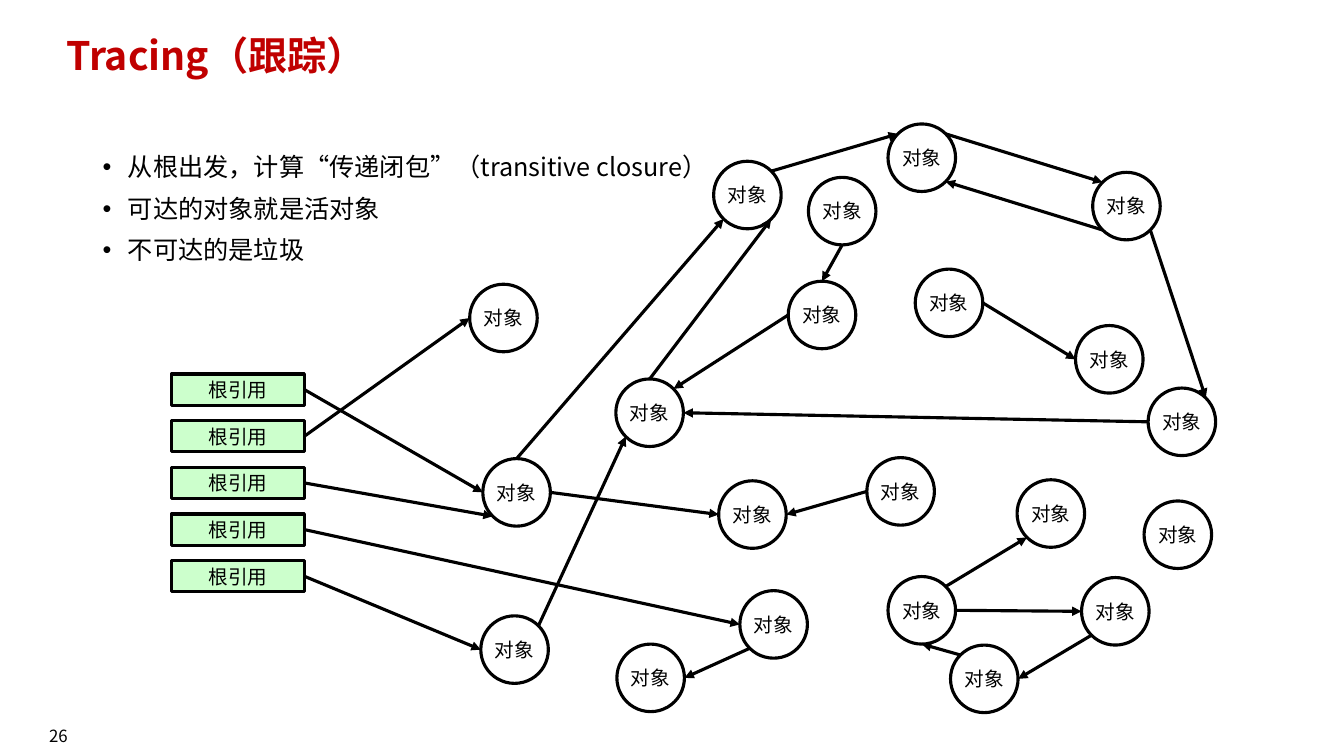
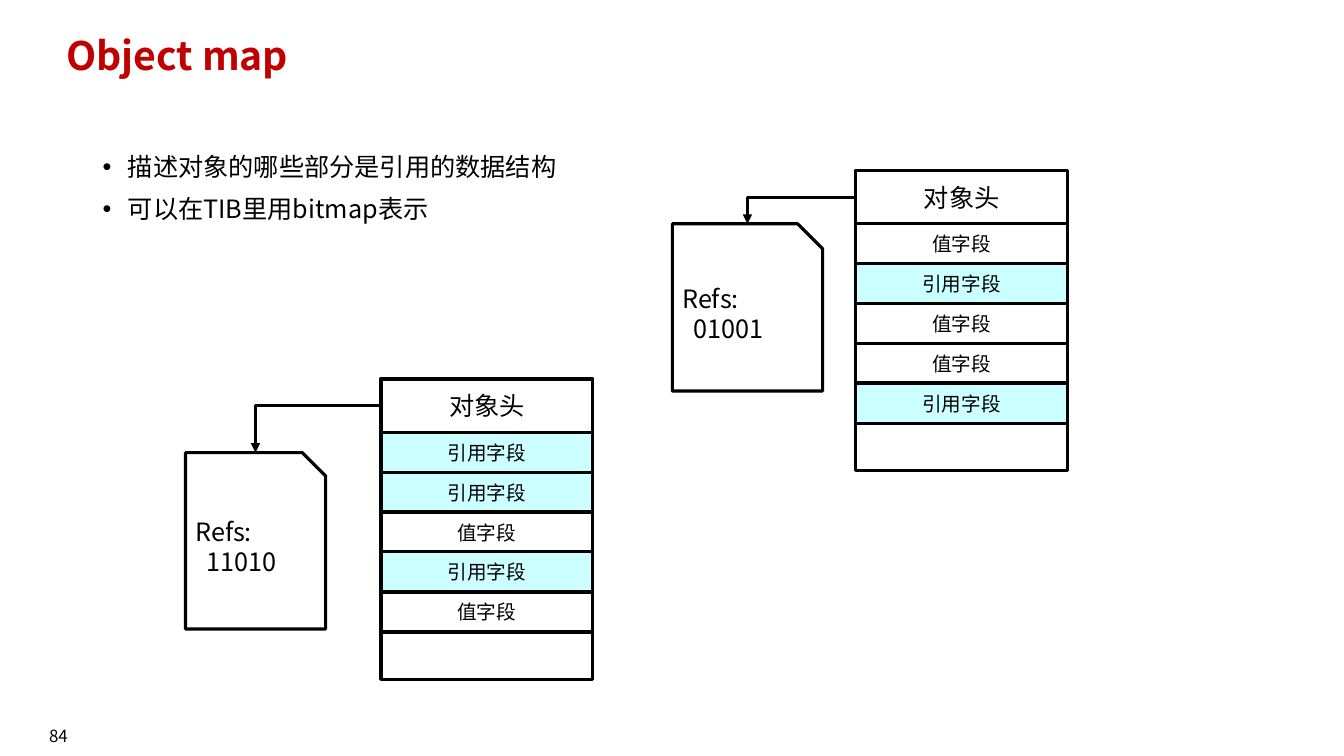
from math import cos, radians, sin

from lxml.etree import SubElement
from pptx import Presentation
from pptx.dml.color import RGBColor
from pptx.enum.shapes import MSO_CONNECTOR, MSO_SHAPE
from pptx.enum.text import MSO_ANCHOR, MSO_AUTO_SIZE, PP_ALIGN
from pptx.oxml.ns import qn
from pptx.util import Inches, Pt

# Every length is in cells of a grid with ten cells to the inch.
SLIDE_SIZE = (133.33, 75)
TITLE_BOX = (5.6, 3.1, 115, 6.5)
BULLETS_BOX = (9.2, 14.9, 115, 47.6)
NUMBER_BOX = (0, 71, 11.6, 4)

FONT = "Noto Sans CJK SC"
BLACK, WHITE, TITLE_RED = "000000", "FFFFFF", "C00000"
ROOT_GREEN, REFERENCE_CYAN = "CCFFCC", "CCFFFF"
LINE_WIDTH = Pt(2.25)

COMPASS = ["E", "SE", "S", "SW", "W", "NW", "N", "NE"]

GRAPH_ORIGIN = (17, 12.3)
ROOT_COUNT, ROOT_TOP, ROOT_PITCH, ROOT_SIZE = 5, 24.8, 4.63, (13.2, 3.1)
OBJECT_SIZE = (6.7, 6.7)
LIVE_OBJECTS = {
    "A": (30.9, 33.2), "B": (29.6, 15.9), "C": (56.4, 46.3), "D": (30.7, 48.8),
    "E": (54.3, 35.4), "F": (53.8, 3.7), "G": (71.1, 0), "H": (91.4, 4.8),
    "I": (96.9, 26.2), "J": (44.1, 25.3), "K": (44.2, 51.6),
}
GARBAGE_OBJECTS = {
    "L": (63.2, 5.3), "M": (61.2, 15.6), "N": (73.8, 14.4), "O": (89.7, 20),
    "P": (69, 33.1), "Q": (71.1, 44.9), "R": (90.3, 45), "S": (77.3, 51.7),
    "T": (83.9, 35.3), "U": (96.5, 37.4),
}
# Source, side it leaves, target, side it enters; digits are root references.
REFERENCES = [
    "0 E A W", "1 E B W", "2 E A SW", "3 E C W", "4 E D W",
    "D NE J SW", "A E E W", "A N F SW", "J N F SE", "F NE G NW",
    "G NE H NW", "H SW G SE", "H SE I NE", "I W J E", "C SW K E",
    "L S M N", "M W J NE", "N E O W", "P W E E", "Q E R W",
    "R SW S E", "S NW Q S", "Q NE T SW",
]

REFERENCE, VALUE = "引用字段", "值字段"
RECORD_SIZE, HEADER_HEIGHT = (21, 29.8), 5.3
FIELD_PITCH, FIELD_HEIGHT = 3.95, 4


def cells(*lengths):
    return [Inches(length / 10) for length in lengths]


def color(hex_text):
    return RGBColor.from_string(hex_text)


def format_text(frame, size, ink=BLACK, bold=False, align=PP_ALIGN.LEFT,
                anchor=MSO_ANCHOR.MIDDLE):
    frame.word_wrap = True
    frame.auto_size = MSO_AUTO_SIZE.NONE
    frame.vertical_anchor = anchor
    for paragraph in frame.paragraphs:
        paragraph.alignment = align
        for run in paragraph.runs:
            run.font.size, run.font.bold = Pt(size), bold
            run.font.name = FONT
            run.font.color.rgb = color(ink)
            SubElement(run.font._element, qn("a:ea"), typeface=FONT)


def add_outlined(slide, preset, box, label="", fill=None, size=14,
                 align=PP_ALIGN.CENTER):
    shape = slide.shapes.add_shape(preset, *cells(*box))
    shape.shadow.inherit = False
    if fill:
        shape.fill.solid()
        shape.fill.fore_color.rgb = color(fill)
    else:
        shape.fill.background()
    shape.line.color.rgb = color(BLACK)
    shape.line.width = LINE_WIDTH
    if label:
        shape.text_frame.text = label
        format_text(shape.text_frame, size, align=align)
    return shape


def add_arrow(slide, start, end, kind=MSO_CONNECTOR.STRAIGHT):
    arrow = slide.shapes.add_connector(kind, *cells(*start, *end))
    arrow.line.color.rgb = color(BLACK)
    arrow.line.width = LINE_WIDTH
    SubElement(arrow.line._get_or_add_ln(), qn("a:tailEnd"), type="triangle")
    SubElement(arrow.element.spPr, qn("a:effectLst"))
    return arrow


def add_corner_arrow(slide, start, end):
    """Arrow that runs sideways first, then turns once."""
    arrow = add_arrow(slide, start, end, MSO_CONNECTOR.ELBOW)
    arrow.element.spPr.find(qn("a:prstGeom")).set("prst", "bentConnector2")


def side_point(box, side):
    """Point where a compass direction meets the ellipse inside the box."""
    left, top, width, height = box
    angle = radians(45 * COMPASS.index(side))
    return left + width * (1 + cos(angle)) / 2, top + height * (1 + sin(angle)) / 2


def add_bullets(slide, box, lines):
    frame = slide.shapes.add_textbox(*cells(*box)).text_frame
    frame.text = "\n".join(lines)
    for index, paragraph in enumerate(frame.paragraphs):
        paragraph.line_spacing = 0.9
        if index:
            paragraph.space_before = Pt(10)
        properties = paragraph._p.get_or_add_pPr()
        properties.set("marL", str(Inches(0.25)))
        properties.set("indent", str(-Inches(0.25)))
        SubElement(properties, qn("a:buFont"), typeface="Arial")
        SubElement(properties, qn("a:buChar"), char="•")
    format_text(frame, 18, anchor=MSO_ANCHOR.TOP)


def add_content_slide(deck, title, number, bullets):
    slide = deck.slides.add_slide(deck.slide_layouts.get_by_name("Title Only"))
    heading = slide.shapes.title
    heading.left, heading.top, heading.width, heading.height = cells(*TITLE_BOX)
    heading.text_frame.text = title
    heading.text_frame.paragraphs[0].line_spacing = 0.9
    format_text(heading.text_frame, 28, TITLE_RED, bold=True, anchor=MSO_ANCHOR.TOP)

    number_frame = slide.shapes.add_textbox(*cells(*NUMBER_BOX)).text_frame
    number_frame.text = str(number)
    format_text(number_frame, 12, align=PP_ALIGN.CENTER)

    add_bullets(slide, BULLETS_BOX, bullets)
    return slide


def add_reference_graph(slide, origin):
    left, top = origin
    boxes = {}
    for index in range(ROOT_COUNT):
        root = (left, top + ROOT_TOP + index * ROOT_PITCH, *ROOT_SIZE)
        boxes[str(index)] = root
        add_outlined(slide, MSO_SHAPE.RECTANGLE, root, "根引用", ROOT_GREEN)
    for name, (x, y) in (LIVE_OBJECTS | GARBAGE_OBJECTS).items():
        boxes[name] = (left + x, top + y, *OBJECT_SIZE)
        circle = add_outlined(slide, MSO_SHAPE.OVAL, boxes[name], "对象", WHITE)
        frame = circle.text_frame
        frame.margin_left = frame.margin_right = 0
        frame.margin_top = frame.margin_bottom = 0
    for reference in REFERENCES:
        source, leaving, target, entering = reference.split()
        add_arrow(slide, side_point(boxes[source], leaving),
                  side_point(boxes[target], entering))


def add_object_record(slide, origin, fields, map_offset, map_size):
    """Object layout with the bitmap of its reference fields beside it."""
    left, top = origin
    width = RECORD_SIZE[0]
    add_outlined(slide, MSO_SHAPE.RECTANGLE, (*origin, *RECORD_SIZE))
    add_outlined(slide, MSO_SHAPE.RECTANGLE, (*origin, width, HEADER_HEIGHT),
                 "对象头", size=18)
    for index, field in enumerate(fields):
        field_top = top + HEADER_HEIGHT + index * FIELD_PITCH
        add_outlined(slide, MSO_SHAPE.RECTANGLE,
                     (left, field_top, width, FIELD_HEIGHT), field,
                     REFERENCE_CYAN if field == REFERENCE else None)

    map_left, map_top = left + map_offset[0], top + map_offset[1]
    bitmap = "".join("1" if field == REFERENCE else "0" for field in fields)
    note = add_outlined(slide, MSO_SHAPE.SNIP_1_RECTANGLE,
                        (map_left, map_top, *map_size), f"Refs:\n{bitmap}",
                        size=18, align=PP_ALIGN.LEFT)
    bits = note.text_frame.paragraphs[1]
    bits._p.get_or_add_pPr().set("marL", str(Inches(0.11)))
    add_corner_arrow(slide, (left, top + HEADER_HEIGHT / 2),
                     (map_left + map_size[0] / 2, map_top))


def main():
    deck = Presentation()
    deck.slide_width, deck.slide_height = cells(*SLIDE_SIZE)

    tracing = add_content_slide(deck, "Tracing（跟踪）", 26, [
        "从根出发，计算“传递闭包”（transitive closure）",
        "可达的对象就是活对象",
        "不可达的是垃圾",
    ])
    add_reference_graph(tracing, GRAPH_ORIGIN)

    object_map = add_content_slide(deck, "Object map", 84, [
        "描述对象的哪些部分是引用的数据结构",
        "可以在TIB里用bitmap表示",
    ])
    add_object_record(object_map, (84.9, 16.9),
                      [VALUE, REFERENCE, VALUE, VALUE, REFERENCE],
                      (-18.2, 5.3), (14.9, 16.6))
    add_object_record(object_map, (37.8, 37.6),
                      [REFERENCE, REFERENCE, VALUE, REFERENCE, VALUE],
                      (-19.4, 7.3), (13.9, 17.5))
    deck.save("out.pptx")


if __name__ == "__main__":
    main()
